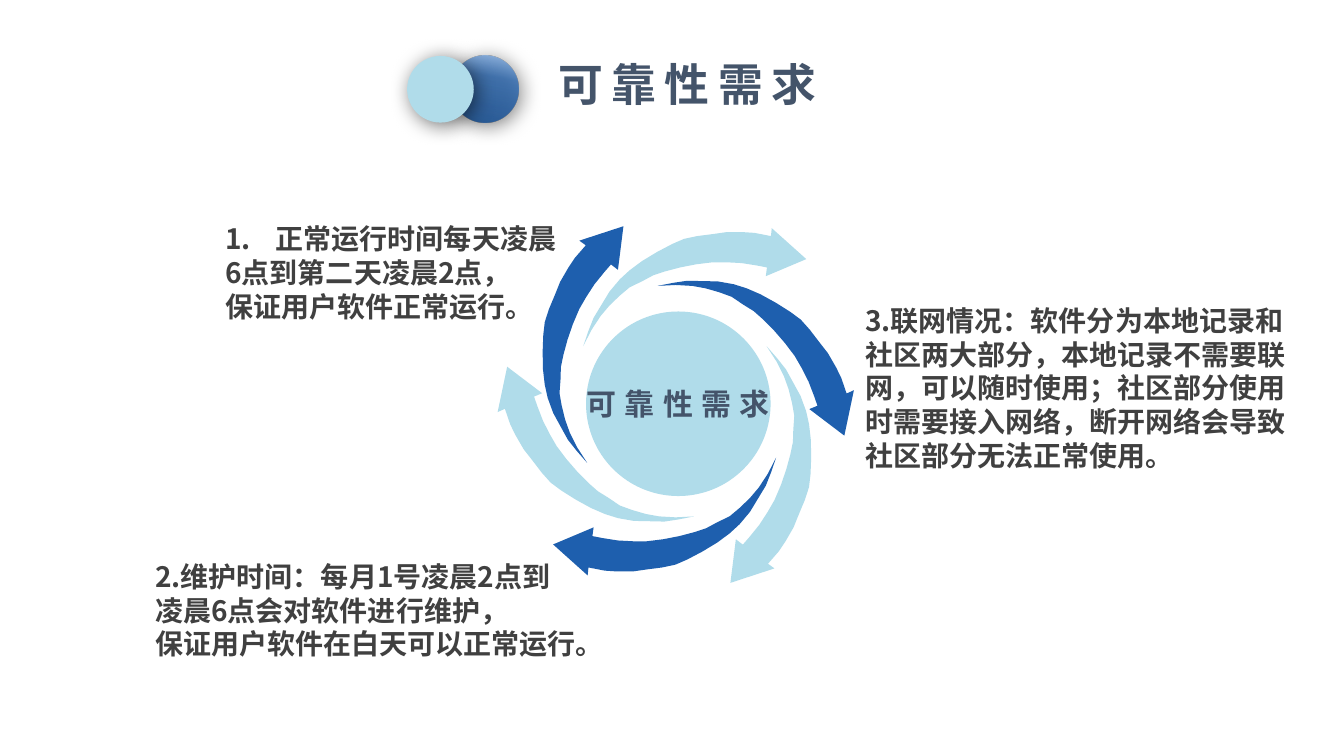
from dataclasses import dataclass
from math import cos, radians, sin

from lxml import etree
from pptx import Presentation
from pptx.dml.color import RGBColor
from pptx.enum.shapes import MSO_SHAPE
from pptx.enum.text import MSO_ANCHOR, MSO_AUTO_SIZE, PP_ALIGN
from pptx.oxml.ns import qn
from pptx.shapes.autoshape import Shape
from pptx.slide import Slide
from pptx.text.text import TextFrame
from pptx.util import Cm, Pt

OVAL, RECTANGLE = MSO_SHAPE.OVAL, MSO_SHAPE.RECTANGLE
TOP, MIDDLE = MSO_ANCHOR.TOP, MSO_ANCHOR.MIDDLE
LEFT, CENTER, JUSTIFY = PP_ALIGN.LEFT, PP_ALIGN.CENTER, PP_ALIGN.JUSTIFY
GROW = MSO_AUTO_SIZE.SHAPE_TO_FIT_TEXT

WHITE = RGBColor(0xFF, 0xFF, 0xFF)
BLACK = RGBColor(0x00, 0x00, 0x00)
SLATE = RGBColor(0x44, 0x54, 0x6A)
CHARCOAL = RGBColor(0x40, 0x40, 0x40)
DEEP_BLUE = RGBColor(0x1E, 0x5F, 0xAE)
PALE_BLUE = RGBColor(0xB0, 0xDC, 0xEA)
GLOSS = (
    (0, RGBColor(0x8F, 0xB4, 0xE1), 90),
    (33, RGBColor(0x30, 0x6B, 0xB2), 81),
    (100, RGBColor(0x27, 0x57, 0x91), 100),
)

CJK = "Noto Sans CJK SC"
TOPIC = "可靠性需求"
NOTE_FONT = {"name": CJK, "size": Pt(20), "bold": True}
HUB_FONT = {"name": "Calibri", "size": Pt(21.4), "bold": True}
TITLE_FONT = {"name": "Calibri", "size": Pt(32), "bold": True}

ARROW_OUTLINE = (
    (-2.01, 0.25), (-1.98, 0.03), (-3.0, 0.46), (-2.13, 1.24), (-2.11, 1.04),
    (-1.7, 1.12), (-1.4, 1.14), (-0.99, 1.14), (-0.64, 1.09), (-0.25, 1.04),
    (0.08, 0.97), (0.38, 0.84), (0.76, 0.64), (1.14, 0.41), (1.45, 0.18),
    (1.7, -0.05), (1.96, -0.36), (2.16, -0.69), (2.36, -1.02), (2.49, -1.35),
    (2.62, -1.73), (2.41, -1.32), (2.18, -0.97), (1.96, -0.71), (1.7, -0.46),
    (1.45, -0.25), (1.14, -0.1), (0.86, 0.05), (0.56, 0.15), (0.18, 0.25),
    (-0.23, 0.33), (-0.64, 0.38), (-0.99, 0.38), (-1.37, 0.36), (-1.75, 0.3),
)
ARROW_CENTERS = (
    (16.94, 13.26), (19.51, 11.86), (19.38, 8.61),
    (17.32, 6.99), (14.61, 8.53), (14.68, 11.61),
)
ARROW_STEP = 360 / len(ARROW_CENTERS)


@dataclass(frozen=True)
class Note:
    left: float
    top: float
    width: float
    height: float
    inset_left: float
    align: PP_ALIGN
    lines: tuple[str, ...]
    numbered: bool = False


NOTES = (
    Note(20.48, 7.47, 12.3, 6.53, 1.32, LEFT, (
        "3.联网情况：软件分为本地记录和",
        "社区两大部分，本地记录不需要联",
        "网，可以随时使用；社区部分使用",
        "时需要接入网络，断开网络会导致",
        "社区部分无法正常使用。",
    )),
    Note(3.58, 13.92, 11.7, 4.6, 0.33, JUSTIFY, (
        "2.维护时间：每月1号凌晨2点到",
        "凌晨6点会对软件进行维护，",
        "保证用户软件在白天可以正常运行。",
    )),
    Note(5.35, 5.41, 8.9, 3.0, 0.33, JUSTIFY, (
        "正常运行时间每天凌晨",
        "6点到第二天凌晨2点，",
        "保证用户软件正常运行。",
    ), numbered=True),
)


def apply(target: object, values: dict[str, object]) -> None:
    for key, value in values.items():
        setattr(target, key, value)


def write_lines(frame: TextFrame, lines: tuple[str, ...], align: PP_ALIGN,
                font: dict[str, object], color: RGBColor, tracking: int = 0) -> None:
    for index, line in enumerate(lines):
        paragraph = frame.add_paragraph() if index else frame.paragraphs[0]
        paragraph.alignment = align
        run = paragraph.add_run()
        run.text = line
        apply(run.font, font)
        run.font.color.rgb = color
        properties = run.font._element
        etree.SubElement(properties, qn("a:ea"), typeface=CJK)
        if tracking:
            properties.set("spc", str(tracking * 100))


def add_plain(slide: Slide, kind: MSO_SHAPE, left: float, top: float,
              width: float, height: float, fill: RGBColor) -> Shape:
    shape = slide.shapes.add_shape(kind, Cm(left), Cm(top), Cm(width), Cm(height))
    paint(shape, fill)
    return shape


def paint(shape: Shape, fill: RGBColor) -> None:
    shape.shadow.inherit = False
    shape.fill.solid()
    shape.fill.fore_color.rgb = fill
    shape.line.fill.background()


def add_color(parent: etree._Element, color: RGBColor, opacity: int) -> None:
    tint = etree.SubElement(parent, qn("a:srgbClr"), val=str(color))
    etree.SubElement(tint, qn("a:alpha"), val=str(opacity * 1000))


def cast_shadow(shape: Shape) -> None:
    effects = shape._element.spPr.find(qn("a:effectLst"))
    shadow = etree.SubElement(effects, qn("a:outerShdw"), blurRad=str(Pt(15)),
                              dist=str(Pt(3)), dir="2700000", algn="tl", rotWithShape="0")
    add_color(shadow, BLACK, 55)


def add_gloss(shape: Shape) -> None:
    shape.fill.gradient()
    shape.fill.gradient_angle = 260
    stops = shape._element.spPr.find(qn("a:gradFill")).find(qn("a:gsLst"))
    for stop in list(stops):
        stops.remove(stop)
    for position, color, opacity in GLOSS:
        stop = etree.SubElement(stops, qn("a:gs"), pos=str(position * 1000))
        add_color(stop, color, opacity)


def add_arrow(slide: Slide, center: tuple[float, float], angle: float, fill: RGBColor) -> None:
    turn_cos, turn_sin = cos(radians(angle)), sin(radians(angle))
    points = [
        (Cm(center[0] + x * turn_cos - y * turn_sin), Cm(center[1] + x * turn_sin + y * turn_cos))
        for x, y in ARROW_OUTLINE
    ]
    builder = slide.shapes.build_freeform(*points[0])
    builder.add_line_segments(points[1:], close=True)
    paint(builder.convert_to_shape(), fill)


def add_note(slide: Slide, note: Note) -> None:
    box = slide.shapes.add_textbox(Cm(note.left), Cm(note.top), Cm(note.width), Cm(note.height))
    frame = box.text_frame
    apply(frame, {
        "word_wrap": True,
        "margin_left": Cm(note.inset_left),
        "margin_right": Cm(0),
        "margin_top": Cm(0.18),
        "margin_bottom": Cm(0.18),
    })
    write_lines(frame, note.lines, note.align, NOTE_FONT, CHARCOAL)
    if note.numbered:
        properties = frame.paragraphs[0]._p.get_or_add_pPr()
        properties.set("marL", str(Cm(1.27)))
        properties.set("indent", str(-Cm(1.27)))
        etree.SubElement(properties, qn("a:buAutoNum"), type="arabicPeriod")


def main() -> None:
    deck = Presentation()
    deck.slide_width, deck.slide_height = Cm(33.87), Cm(19.05)
    slide = deck.slides.add_slide(deck.slide_layouts[6])

    for index, center in enumerate(ARROW_CENTERS):
        add_arrow(slide, center, -ARROW_STEP * index, PALE_BLUE if index % 2 else DEEP_BLUE)

    hub = add_plain(slide, OVAL, 14.77, 7.85, 4.65, 4.65, PALE_BLUE)
    apply(hub.text_frame, {"word_wrap": False, "vertical_anchor": MIDDLE})
    write_lines(hub.text_frame, (TOPIC,), CENTER, HUB_FONT, SLATE, tracking=6)

    for note in NOTES:
        add_note(slide, note)

    for left, glossy in ((11.38, True), (10.26, False)):
        disc = add_plain(slide, OVAL, left, 1.41, 1.68, 1.68, PALE_BLUE)
        cast_shadow(disc)
        if glossy:
            add_gloss(disc)

    title = add_plain(slide, RECTANGLE, 13.72, 1.57, 7.21, 1.35, WHITE)
    apply(title.text_frame, {"word_wrap": False, "vertical_anchor": TOP, "auto_size": GROW})
    write_lines(title.text_frame, (TOPIC,), CENTER, TITLE_FONT, SLATE, tracking=6)
    title.text_frame.paragraphs[0].line_spacing = 0.8

    deck.save("out.pptx")


if __name__ == "__main__":
    main()
